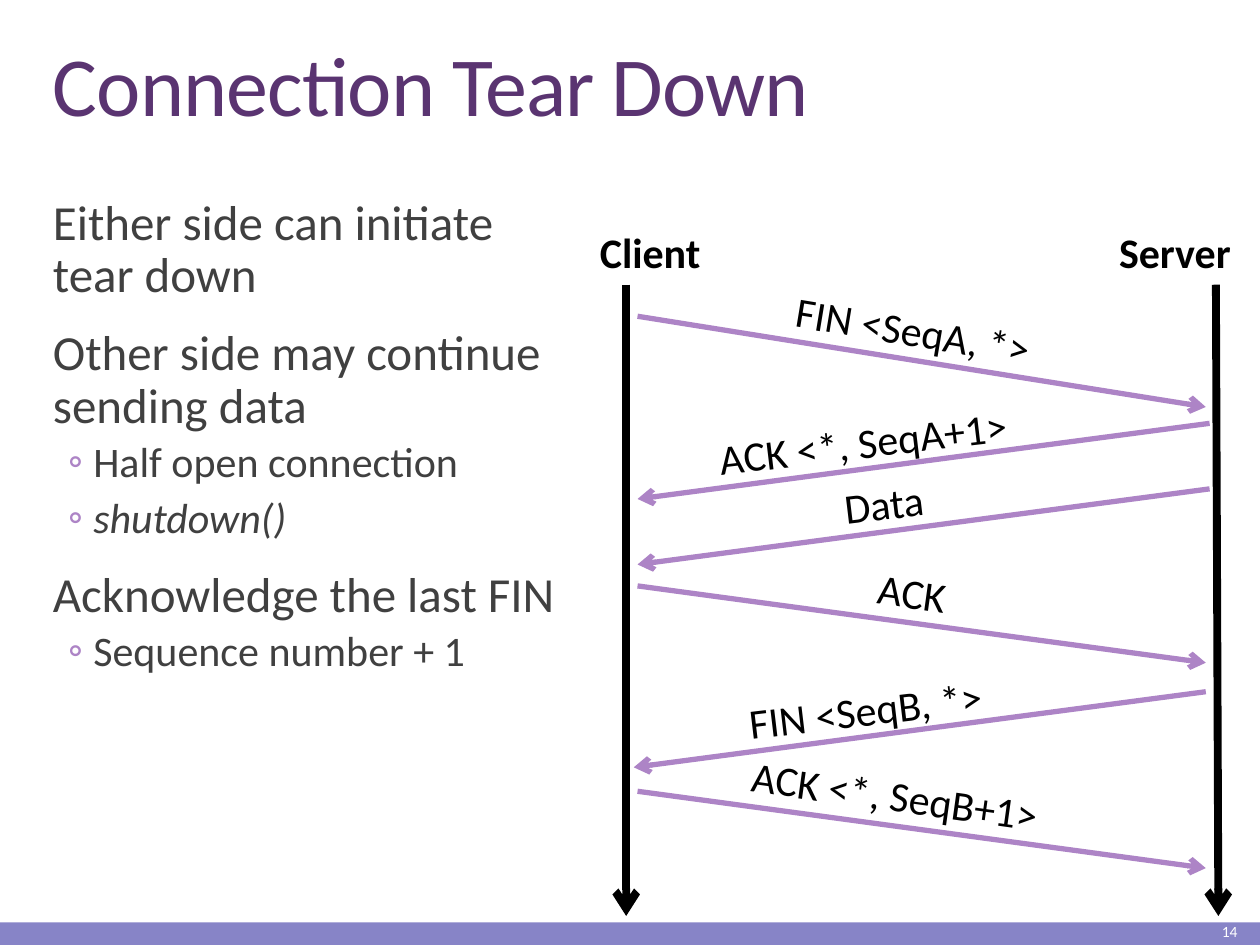
from lxml import etree
from pptx import Presentation
from pptx.dml.color import RGBColor
from pptx.enum import shapes, text
from pptx.oxml import ns
from pptx.util import Inches, Pt

HUES = {"bar": "8784C7", "title": "5A3471", "body": "404040",
        "accent": "AD84C6", "black": "000000", "white": "FFFFFF"}
FACE = "Calibri"
TITLE = "Connection Tear Down"
PAGE = "14"
POINTS = [
    (0, "Either side can initiate tear down", False),
    (0, "Other side may continue sending data", False),
    (1, "Half open connection", False),
    (1, "shutdown()", True),
    (0, "Acknowledge the last FIN", False),
    (1, "Sequence number + 1", False),
]
LEVELS = [
    {"size": 28, "before": 12, "after": 2, "left": 0.1, "hang": 0},
    {"size": 24, "before": 2, "after": 4, "left": 0.42, "hang": 0.2},
]
HOSTS = [
    ("Client", (4.59, 1.14), (4.97, 4.97)),
    ("Server", (8.7, 1.25), (9.65, 9.67)),
]
TOP, END = 2.26, 7.27
MESSAGES = [
    ("FIN <SeqA, *>", (5.06, 2.51, 9.57, 3.23), (6.21, 2.39, 2.37), 9.4),
    ("ACK <*, SeqA+1>", (9.6, 3.36, 5.06, 3.96), (5.6, 3.23, 2.91), -6.9),
    ("ACK", (5.06, 4.65, 9.57, 5.26), (6.87, 4.46, 0.89), 8),
    ("Data", (9.6, 3.88, 5.06, 4.48), (6.6, 3.74, 0.91), -6.9),
    ("FIN <SeqB, *>", (9.57, 5.49, 5.03, 6.09), (5.84, 5.36, 2.37), -6.9),
    ("ACK <*, SeqB+1>", (5.06, 6.28, 9.57, 6.89), (5.86, 6.09, 2.91), 8),
]
ALIGN = text.PP_ALIGN
ANCHOR = text.MSO_ANCHOR


def hue(name):
    return RGBColor.from_string(HUES[name])


def style(para, size, color, align=ALIGN.LEFT, bold=False):
    para.alignment = align
    font = para.font
    font.name, font.size, font.bold = FACE, Pt(size), bold
    font.color.rgb = hue(color)


def label(parent, words, box, size=24, color="black", **look):
    shape = parent.add_textbox(*map(Inches, box))
    frame = shape.text_frame
    frame.word_wrap = False
    frame.vertical_anchor = ANCHOR.MIDDLE
    para = frame.paragraphs[0]
    para.text = words
    style(para, size, color, **look)
    return shape


def arrow(parent, ends, color, width):
    line = parent.add_connector(shapes.MSO_CONNECTOR.STRAIGHT,
                                *map(Inches, ends))
    line.line.color.rgb = hue(color)
    line.line.width = Pt(width)
    etree.SubElement(line.line._get_or_add_ln(), ns.qn("a:tailEnd"),
                     type="arrow")
    etree.SubElement(line._element.spPr, ns.qn("a:effectLst"))


def bullet(para, level):
    props = para._p.get_or_add_pPr()
    props.set("marL", str(Inches(level["left"])))
    props.set("indent", str(-Inches(level["hang"])))
    if level["hang"]:
        tint = etree.SubElement(props, ns.qn("a:buClr"))
        etree.SubElement(tint, ns.qn("a:srgbClr"), val=HUES["accent"])
        etree.SubElement(props, ns.qn("a:buFont"), typeface=FACE)
        etree.SubElement(props, ns.qn("a:buChar"), char="◦")
    else:
        etree.SubElement(props, ns.qn("a:buNone"))


def add_title(slide):
    title = slide.shapes.title
    title.left, title.top = Inches(0.32), Inches(0.31)
    title.width, title.height = Inches(9.48), Inches(0.8)
    frame = title.text_frame
    frame.text = TITLE
    frame.auto_size = text.MSO_AUTO_SIZE.NONE
    frame.vertical_anchor = ANCHOR.BOTTOM
    para = frame.paragraphs[0]
    para.line_spacing = 0.85
    style(para, 48, "title")
    para.runs[0]._r.get_or_add_rPr().set("spc", "-50")


def add_points(slide):
    box = slide.shapes.add_textbox(*map(Inches, (0.32, 1.52, 4.22, 5.24)))
    frame = box.text_frame
    frame.word_wrap = True
    frame.margin_left = frame.margin_right = 0
    for i, (depth, words, slant) in enumerate(POINTS):
        para = frame.add_paragraph() if i else frame.paragraphs[0]
        level = LEVELS[depth]
        para.text, para.level = words, depth
        para.line_spacing = 0.9
        para.space_before = Pt(level["before"])
        para.space_after = Pt(level["after"])
        bullet(para, level)
        style(para, level["size"], "body")
        para.font.italic = slant


def main():
    deck = Presentation()
    deck.slide_width, deck.slide_height = Inches(10), Inches(7.5)
    slide = deck.slides.add_slide(deck.slide_layouts[5])
    tree = slide.shapes

    bar = tree.add_shape(shapes.MSO_SHAPE.RECTANGLE,
                         *map(Inches, (0, 7.32, 10, 0.18)))
    bar.shadow.inherit = False
    bar.fill.solid()
    bar.fill.fore_color.rgb = hue("bar")
    bar.line.fill.background()

    add_title(slide)
    add_points(slide)
    page = label(tree, PAGE, (8.84, 7.28, 1.08, 0.22), 8.9, "white",
                 align=ALIGN.RIGHT)
    page.text_frame.word_wrap = True

    for name, (left, width), (start, stop) in HOSTS:
        arrow(tree, (start, TOP, stop, END), "black", 4.5)
        label(tree, name, (left, 1.75, width, 0.5),
              align=ALIGN.CENTER, bold=True)

    for words, ends, spot, turn in MESSAGES:
        group = tree.add_group_shape().shapes
        arrow(group, ends, "accent", 3)
        label(group, words, (*spot, 0.5)).rotation = turn

    deck.save("out.pptx")


if __name__ == "__main__":
    main()
